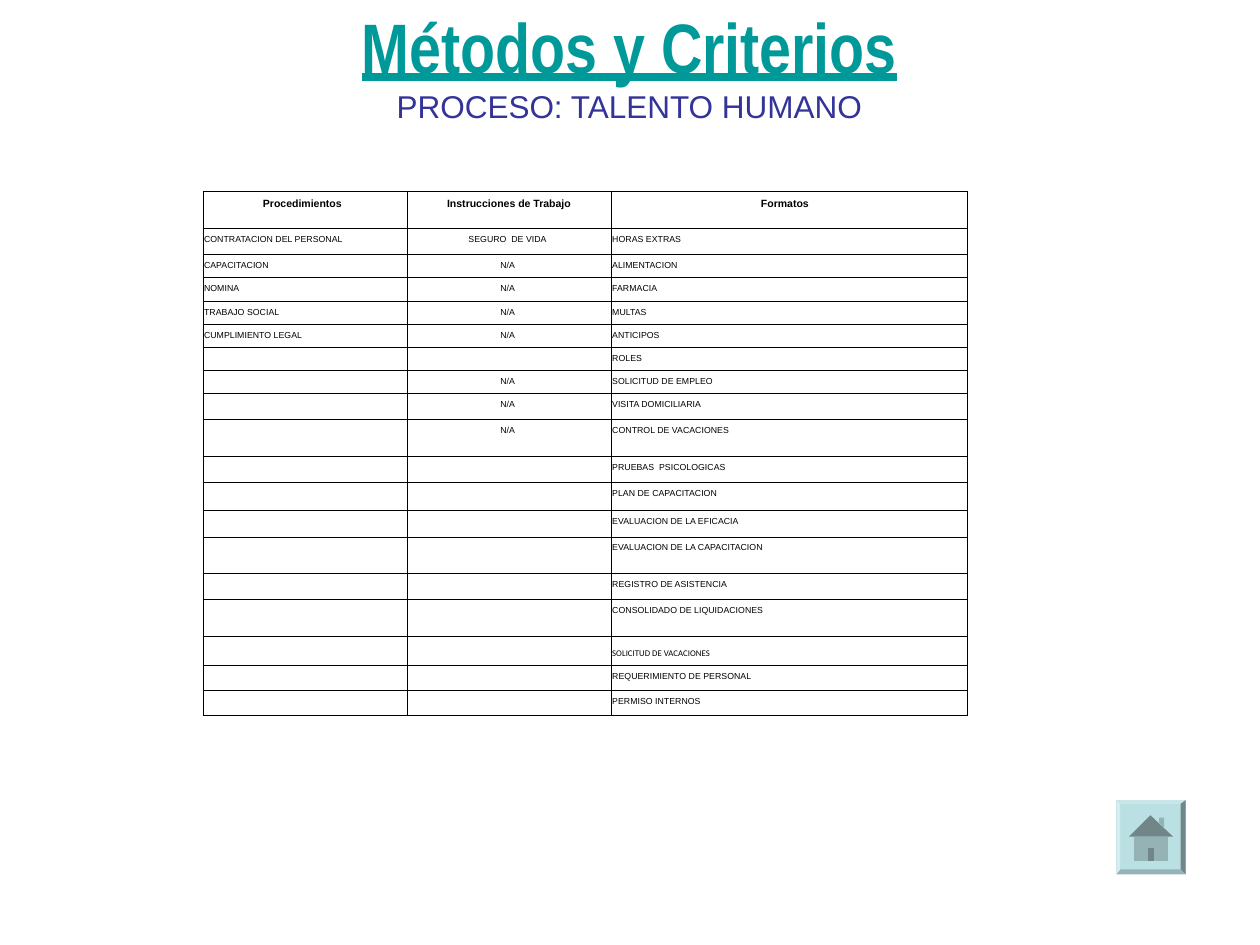
from lxml import etree
from pptx import Presentation
from pptx.dml.color import RGBColor
from pptx.enum.text import MSO_ANCHOR as Anchor, PP_ALIGN as Align
from pptx.oxml import parse_xml
from pptx.oxml.ns import nsdecls, qn
from pptx.util import Inches, Pt


def color(hex_string):
    return RGBColor.from_string(hex_string)


def add_run(paragraph, text, size, font, hex_string, bold=False, underline=False):
    run = paragraph.add_run()
    run.text = text
    run.font.size = Pt(size)
    run.font.name = font
    run.font.bold = bold
    run.font.underline = underline
    run.font.color.rgb = color(hex_string)


presentation = Presentation()
presentation.slide_width = Inches(10)
presentation.slide_height = Inches(7.5)
slide = presentation.slides.add_slide(presentation.slide_layouts[6])

# Home button: one outline whose parts shade the same fill
left, top, right, bottom = 8.86, 6.35, 9.41, 6.94
in_left, in_top, in_right, in_bottom = 8.89, 6.38, 9.37, 6.9
button_parts = [
    ("norm", [(left, top), (right, top), (right, bottom), (left, bottom)]),
    ("lightenLess", [(left, top), (right, top), (in_right, in_top), (in_left, in_top)]),
    ("darken", [(right, top), (right, bottom), (in_right, in_bottom), (in_right, in_top)]),
    ("darkenLess", [(right, bottom), (left, bottom), (in_left, in_bottom),
                    (in_right, in_bottom)]),
    ("lighten", [(left, bottom), (left, top), (in_left, in_top), (in_left, in_bottom)]),
    ("darken", [(9.13, 6.47), (9.31, 6.64), (8.96, 6.64)]),  # roof
    ("darkenLess", [(9.2, 6.53), (9.2, 6.49), (9.24, 6.49), (9.24, 6.58)]),  # chimney
    ("darkenLess", [(9, 6.64), (9.27, 6.64), (9.27, 6.83), (9, 6.83)]),  # walls
    ("darken", [(9.11, 6.73), (9.16, 6.73), (9.16, 6.83), (9.11, 6.83)]),  # door
]
builder = None
for shade, corners in button_parts:
    points = [(Inches(x), Inches(y)) for x, y in corners]
    if builder is None:
        builder = slide.shapes.build_freeform(*points[0])
    else:
        builder.move_to(*points[0])
    builder.add_line_segments(points[1:], close=True)
home_button = builder.convert_to_shape()
home_button.shadow.inherit = False
home_button.fill.solid()
home_button.fill.fore_color.rgb = color("BBE0E3")
home_button.line.fill.background()

# Give every contour its own outline, so that each takes its own shade
outline = home_button._element.find(".//" + qn("a:path"))
outline_list = outline.getparent()
shades = iter(button_parts)
for step in list(outline):
    if step.tag == qn("a:moveTo"):
        part = etree.SubElement(outline_list, qn("a:path"), w=outline.get("w"),
                                h=outline.get("h"), fill=next(shades)[0])
    part.append(step)
outline_list.remove(outline)

# Title and subtitle
title = slide.shapes.add_textbox(Inches(0.19), Inches(0.39), Inches(9.61), Inches(0.65))
title.text_frame.word_wrap = True
title.text_frame.vertical_anchor = Anchor.BOTTOM
paragraph = title.text_frame.paragraphs[0]
paragraph.alignment = Align.CENTER
add_run(paragraph, "Métodos y Criterios", 40, "Arial Narrow", "009999", True, True)
paragraph.add_line_break()
add_run(paragraph, "PROCESO: TALENTO HUMANO", 18, "Arial", "333399")

# Table of procedures, work instructions and forms
rows = [
    (0.29, "Procedimientos", "Instrucciones de Trabajo", "Formatos"),
    (0.21, "CONTRATACION DEL PERSONAL", "SEGURO  DE VIDA", "HORAS EXTRAS"),
    (0.14, "CAPACITACION", "N/A", "ALIMENTACION"),
    (0.14, "NOMINA", "N/A", "FARMACIA"),
    (0.14, "TRABAJO SOCIAL", "N/A", "MULTAS"),
    (0.14, "CUMPLIMIENTO LEGAL", "N/A", "ANTICIPOS"),
    (0.14, "", "", "ROLES"),
    (0.14, "", "N/A", "SOLICITUD DE EMPLEO"),
    (0.21, "", "N/A", "VISITA DOMICILIARIA"),
    (0.29, "", "N/A", "CONTROL DE VACACIONES"),
    (0.21, "", "", "PRUEBAS  PSICOLOGICAS"),
    (0.22, "", "", "PLAN DE CAPACITACION"),
    (0.21, "", "", "EVALUACION DE LA EFICACIA"),
    (0.29, "", "", "EVALUACION DE LA CAPACITACION"),
    (0.21, "", "", "REGISTRO DE ASISTENCIA"),
    (0.29, "", "", "CONSOLIDADO DE LIQUIDACIONES"),
    (0.23, "", "", "SOLICITUD DE VACACIONES"),
    (0.2, "", "", "REQUERIMIENTO DE PERSONAL"),
    (0.2, "", "", "PERMISO INTERNOS"),
]
# Right margins that set some centred texts slightly to the left
right_margins = {"Procedimientos": 0.05, "Formatos": 0.08,
                 "SEGURO  DE VIDA": 0.03, "N/A": 0.03}
table = slide.shapes.add_table(
    len(rows), 3, Inches(1.61), Inches(1.52), Inches(6.06), Inches(3.66)
).table
table.first_row = False
table.horz_banding = False
for column, width in zip(table.columns, (1.62, 1.62, 2.83)):
    column.width = Inches(width)

for row_index, (height, *texts) in enumerate(rows):
    table.rows[row_index].height = Inches(height)
    is_header = row_index == 0
    for column_index, text in enumerate(texts):
        cell = table.cell(row_index, column_index)
        cell.margin_left = Inches(0.01)
        cell.margin_right = Inches(right_margins.get(text, 0.01))
        cell.margin_top = cell.margin_bottom = Inches(0.05)

        # Thin black borders come before the fill in the cell properties
        properties = cell._tc.get_or_add_tcPr()
        for side in ("lnL", "lnR", "lnT", "lnB"):
            properties.append(parse_xml(
                f'<a:{side} {nsdecls("a")} w="{Pt(0.23)}"><a:solidFill>'
                f'<a:srgbClr val="000000"/></a:solidFill></a:{side}>'))
        cell.fill.background()

        paragraph = cell.text_frame.paragraphs[0]
        centered = is_header or column_index == 1
        paragraph.alignment = Align.CENTER if centered else Align.LEFT
        if text:
            font = "Arial"
            if text == "SOLICITUD DE VACACIONES":
                font = "Calibri"
                cell.vertical_anchor = Anchor.BOTTOM
            add_run(paragraph, text, 6 if is_header else 5, font, "000000", is_header)
        else:
            # Small end mark keeps empty cells from stretching the row
            etree.SubElement(paragraph._p, qn("a:endParaRPr"), sz="500")

presentation.save("out.pptx")
